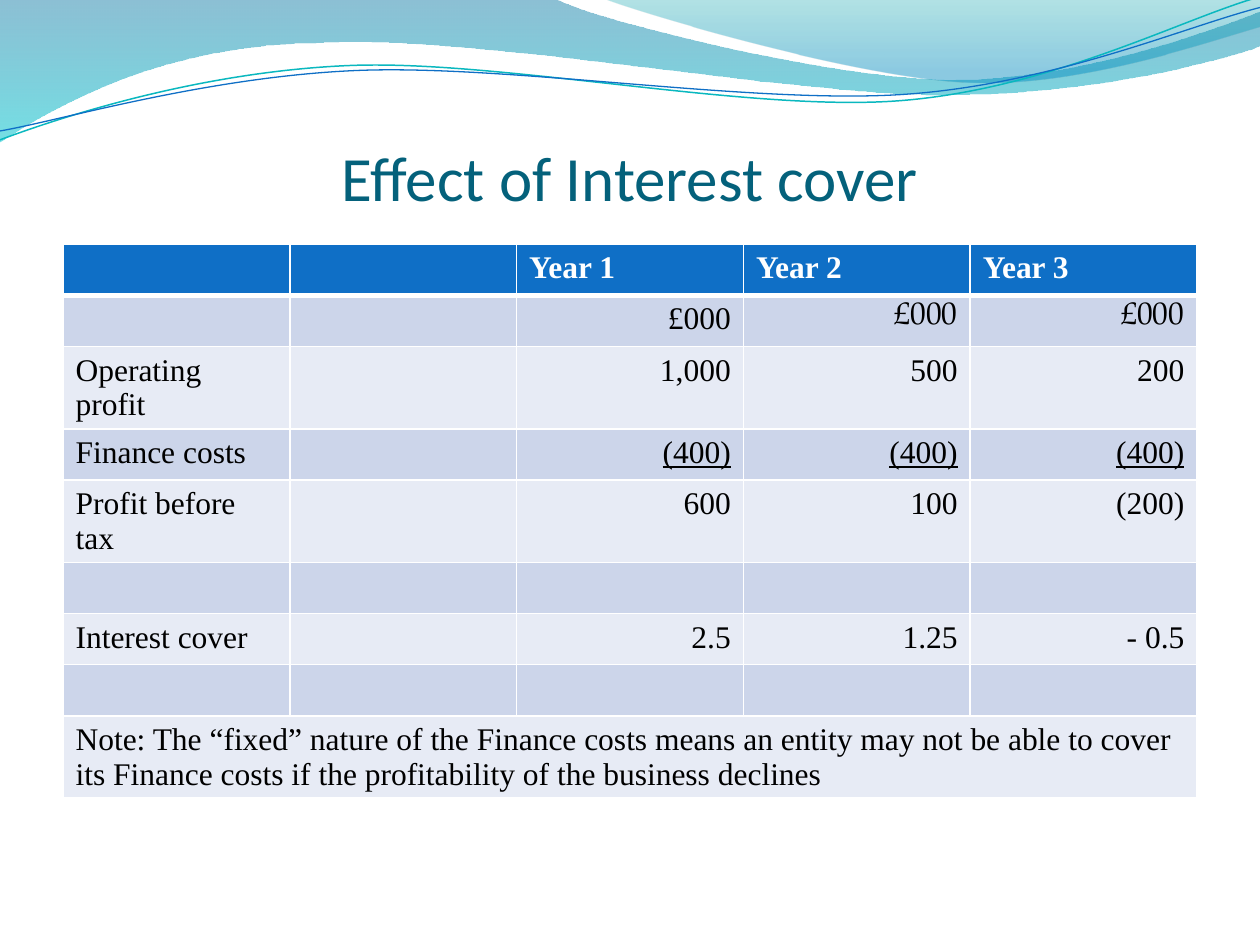
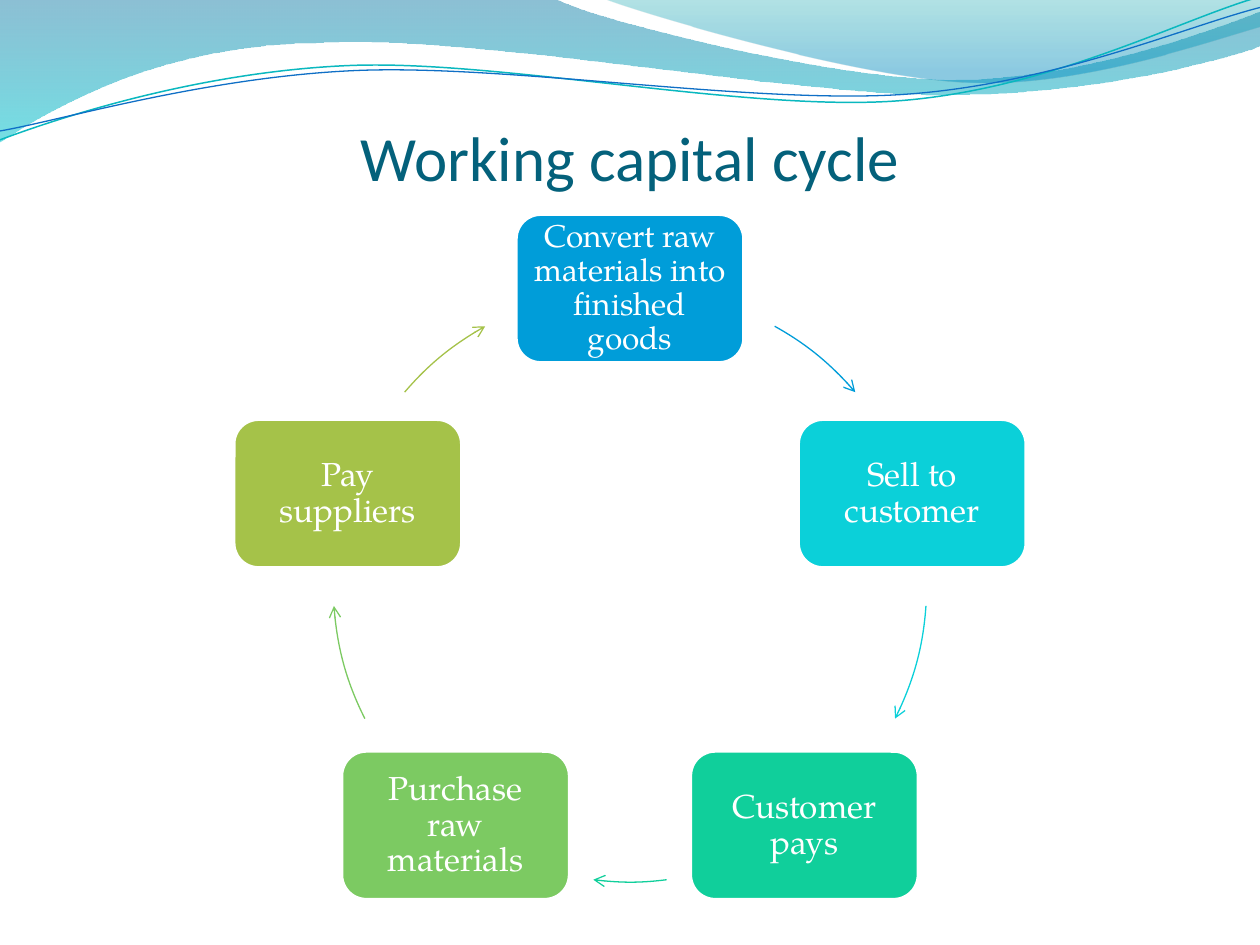
from math import cos, radians, sin, tan

from lxml import etree
from pptx import Presentation
from pptx.dml.color import RGBColor
from pptx.enum.shapes import MSO_SHAPE
from pptx.enum.text import MSO_ANCHOR, MSO_AUTO_SIZE, PP_ALIGN
from pptx.oxml.ns import qn
from pptx.util import Inches, Pt

LEFT, CENTER, RIGHT = PP_ALIGN.LEFT, PP_ALIGN.CENTER, PP_ALIGN.RIGHT
MIDDLE, BOTTOM = MSO_ANCHOR.MIDDLE, MSO_ANCHOR.BOTTOM
ROUNDED_BOX = MSO_SHAPE.ROUNDED_RECTANGLE

WHITE = RGBColor(0xFF, 0xFF, 0xFF)
BLACK = RGBColor(0x00, 0x00, 0x00)
TITLE_TEAL = RGBColor(0x04, 0x61, 0x7B)
HEADER_BLUE = RGBColor(0x0F, 0x6F, 0xC6)
BAND_DARK = RGBColor(0xCC, 0xD5, 0xEA)
BAND_LIGHT = RGBColor(0xE7, 0xEB, 0xF5)
LINE_TEAL = RGBColor(0x0A, 0xB8, 0xBF)
SKY = RGBColor(0x00, 0x9D, 0xD9)
CYAN = RGBColor(0x0B, 0xD0, 0xD9)
EMERALD = RGBColor(0x10, 0xCF, 0x9B)
GREEN = RGBColor(0x7C, 0xCA, 0x62)
OLIVE = RGBColor(0xA5, 0xC2, 0x49)

TITLE_FONT = "Calibri"
TABLE_FONT = "Times New Roman"
CYCLE_FONT = "TeX Gyre Pagella"

SLIDE_WIDTH, SLIDE_HEIGHT = 10, 7.5
MARGIN = 0.05 * SLIDE_WIDTH
CONTENT_WIDTH = SLIDE_WIDTH - 2 * MARGIN
TITLE_TOP = 0.77

# Each outline is a list of steps: one point for a straight edge,
# three points (two controls and an end) for a curve.
WAVE_BANDS = [
    {
        "start": (0, -0.01),
        "steps": [
            [(4.4, -0.01)],
            [(4.76, 0.17), (6.64, 0.63), (7.58, 0.63)],
            [(8.53, 0.63), (9.58, 0.26), (10, 0.09)],
            [(10.01, 0.36)],
            [(9.83, 0.44), (8.7, 0.76), (7.46, 0.75)],
            [(6.22, 0.75), (3.82, 0.28), (2.57, 0.34)],
            [(1.29, 0.35), (0.46, 0.83), (-0.01, 1.13)],
            [(0, -0.01)],
        ],
        "stops": [(0, RGBColor(0x00, 0x74, 0xA1), 45), (1, RGBColor(0x00, 0xC6, 0xCF), 55)],
    },
    {
        "start": (4.79, -0.01),
        "steps": [
            [(5.09, 0.11), (6.82, 0.62), (7.69, 0.65)],
            [(8.56, 0.69), (9.61, 0.32), (10, 0.21)],
            [(10, 0)],
            [(4.79, -0.01)],
        ],
        "stops": [(0, RGBColor(0x00, 0xA1, 0xA9), 30), (0.8, RGBColor(0x00, 0x8B, 0xBF), 45)],
    },
]
WAVE_LINES = [
    {
        "start": (0, 1.11),
        "steps": [
            [(0.48, 0.93), (1.58, 0.57), (2.77, 0.52)],
            [(3.95, 0.47), (5.93, 0.89), (7.13, 0.8)],
            [(8.33, 0.71), (9.38, 0.15), (9.98, -0.02)],
        ],
        "pivot": (4.99, 0.58),
        "color": LINE_TEAL,
        "width": 0.85,
    },
    {
        "start": (0, 1.04),
        "steps": [
            [(0.47, 0.96), (1.64, 0.61), (2.83, 0.56)],
            [(4.03, 0.51), (5.97, 0.83), (7.17, 0.75)],
            [(8.36, 0.67), (9.41, 0.21), (10, 0.06)],
        ],
        "pivot": (5, 0.59),
        "color": HEADER_BLUE,
        "width": 0.75,
    },
]
WAVE_TILT = 2.7

INTEREST_TITLE = "Effect of Interest cover"
INTEREST_ROWS = [
    ("", "", "Year 1", "Year 2", "Year 3"),
    ("", "", "£000", "£000", "£000"),
    ("Operating profit", "", "1,000", "500", "200"),
    ("Finance costs", "", "(400)", "(400)", "(400)"),
    ("Profit before tax", "", "600", "100", "(200)"),
    ("", "", "", "", ""),
    ("Interest cover", "", "2.5", "1.25", "- 0.5"),
    ("", "", "", "", ""),
    (
        "Note: The “fixed” nature of the Finance costs means an entity may not be able "
        "to cover its Finance costs if the profitability of the business declines",
        "", "", "", "",
    ),
]
UNIT_ROW, UNDERLINED_ROW = 1, 3
TABLE_TOP = 1.94
ROW_POINTS = 29.2

CYCLE_TITLE = "Working capital cycle"
# Text, colour, font size, text inset, and the angles from the top
# between which the arrow to the next stage runs.
CYCLE_STAGES = [
    ("Convert raw materials into finished goods", SKY, 18, 0.07, (29.2, 49.4)),
    ("Sell to customer", CYAN, 19, 0.08, (94, 116.7)),
    ("Customer pays", EMERALD, 19, 0.08, (172.9, 187.1)),
    ("Purchase raw materials", GREEN, 19, 0.08, (243.3, 266)),
    ("Pay suppliers", OLIVE, 19, 0.08, (310.6, 330.8)),
]
CYCLE_TOP, CYCLE_SIZE = 2.29, 4.71
CYCLE_RADIUS = CYCLE_SIZE / 2
CYCLE_X, CYCLE_Y = SLIDE_WIDTH / 2, CYCLE_TOP + CYCLE_RADIUS
CYCLE_CORNERS = [
    (CYCLE_X - CYCLE_RADIUS, CYCLE_TOP),
    (CYCLE_X + CYCLE_RADIUS, CYCLE_TOP + CYCLE_SIZE),
]
STAGE_WIDTH, STAGE_HEIGHT = 1.81, 1.18


def write_text(frame, text, *, font, size, color, align=LEFT, bold=False,
               underline=False, line_spacing=None):
    paragraph = frame.paragraphs[0]
    paragraph.alignment = align
    paragraph.line_spacing = line_spacing
    run = paragraph.add_run()
    run.text = text
    run.font.name = font
    run.font.size = Pt(size)
    run.font.color.rgb = color
    run.font.bold = bold
    run.font.underline = underline


def set_insets(frame, left, top, right, bottom):
    frame.margin_left, frame.margin_top = Inches(left), Inches(top)
    frame.margin_right, frame.margin_bottom = Inches(right), Inches(bottom)


def to_emu(point):
    return Inches(point[0]), Inches(point[1])


def add_outline(slide, start, steps, close=False, corners=()):
    """Add a freeform; corners stretch its frame beyond the outline itself."""
    first, *moves = [to_emu(point) for point in [*corners, start]]
    builder = slide.shapes.build_freeform(*first, scale=1.0)
    for move in moves:
        builder.move_to(*move)
    builder.add_line_segments([to_emu(point) for step in steps for point in step], close=close)
    shape = builder.convert_to_shape()
    shape.shadow.inherit = False

    outline = next(shape.element.iter(qn("a:moveTo"))).getparent()
    for corner_move in list(outline)[:len(corners)]:
        outline.remove(corner_move)
    edges = iter(outline.findall(qn("a:lnTo")))
    for step in steps:
        step_edges = [next(edges) for _ in step]
        if len(step) == 3:
            curve = etree.Element(qn("a:cubicBezTo"))
            step_edges[0].addprevious(curve)
            for edge in step_edges:
                curve.append(edge[0])
                outline.remove(edge)
    return shape


def add_curve(slide, start, steps, color, width, corners=()):
    curve = add_outline(slide, start, steps, corners=corners)
    curve.fill.background()
    curve.line.color.rgb = color
    curve.line.width = Pt(width)
    return curve


def add_wave_band(slide, start, steps, stops):
    band = add_outline(slide, start, steps, close=True)
    band.line.fill.background()
    band.fill.gradient()
    band.fill.gradient_angle = 270
    for gradient_stop, (position, color, _) in zip(band.fill.gradient_stops, stops):
        gradient_stop.position = position
        gradient_stop.color.rgb = color
    colors = band.element.spPr.iter(qn("a:srgbClr"))
    for color_element, (_, _, opacity) in zip(colors, stops):
        etree.SubElement(color_element, qn("a:alpha"), val=str(opacity * 1000))
    return band


def add_wave_line(slide, start, steps, pivot, color, width):
    """Draw the line level, then tilt the whole shape about its pivot."""
    cosine, sine = cos(radians(WAVE_TILT)), sin(radians(WAVE_TILT))

    def level(point):
        x, y = point[0] - pivot[0], point[1] - pivot[1]
        return pivot[0] + x * cosine - y * sine, pivot[1] + x * sine + y * cosine

    level_steps = [[level(point) for point in step] for step in steps]
    line = add_curve(slide, level(start), level_steps, color, width)
    line.rotation = 360 - WAVE_TILT
    return line


def add_waves_to_layout(slide):
    """Draw the waves on a slide, then move them behind everything on its layout."""
    waves = [add_wave_band(slide, **band) for band in WAVE_BANDS]
    waves += [add_wave_line(slide, **line) for line in WAVE_LINES]
    layout_tree = slide.slide_layout.shapes.element
    for index, wave in enumerate(waves):
        wave.element.nvSpPr.cNvPr.set("id", str(100 + index))
        layout_tree.insert(2 + index, wave.element)


def add_titled_slide(presentation, layout, text, title_height):
    slide = presentation.slides.add_slide(layout)
    title = slide.shapes.title
    title.left, title.top = Inches(MARGIN), Inches(TITLE_TOP)
    title.width, title.height = Inches(CONTENT_WIDTH), Inches(title_height)
    frame = title.text_frame
    frame.auto_size = MSO_AUTO_SIZE.NONE
    frame.vertical_anchor = BOTTOM
    set_insets(frame, 0, 0.05, 0, 0)
    write_text(frame, text, font=TITLE_FONT, size=36, color=TITLE_TEAL, align=CENTER)
    return slide


def set_borders(cell, bottom_width):
    properties = cell._tc.get_or_add_tcPr()
    for side, width in (("L", 1), ("R", 1), ("T", 1), ("B", bottom_width)):
        line = etree.SubElement(properties, qn(f"a:ln{side}"), w=str(Pt(width)))
        fill = etree.SubElement(line, qn("a:solidFill"))
        etree.SubElement(fill, qn("a:srgbClr"), val=str(WHITE))


def add_interest_table(slide):
    row_count, column_count = len(INTEREST_ROWS), len(INTEREST_ROWS[0])
    table = slide.shapes.add_table(
        row_count, column_count, Inches(MARGIN), Inches(TABLE_TOP),
        Inches(CONTENT_WIDTH), Pt(ROW_POINTS * row_count),
    ).table
    for row, values in enumerate(INTEREST_ROWS):
        is_header = row == 0
        band = HEADER_BLUE if is_header else BAND_DARK if row % 2 else BAND_LIGHT
        for column, value in enumerate(values):
            cell = table.cell(row, column)
            set_borders(cell, 3 if is_header else 1)
            cell.fill.solid()
            cell.fill.fore_color.rgb = band
            if value:
                write_text(
                    cell.text_frame, value, size=18,
                    font=CYCLE_FONT if row == UNIT_ROW and column > 2 else TABLE_FONT,
                    color=WHITE if is_header else BLACK, bold=is_header,
                    underline=row == UNDERLINED_ROW and column > 0,
                    align=RIGHT if column and not is_header else LEFT,
                )
    table.cell(row_count - 1, 0).merge(table.cell(row_count - 1, column_count - 1))


def cycle_point(angle, along=0):
    """Return the point at an angle clockwise from the top, moved along the tangent."""
    sine, cosine = sin(radians(angle)), cos(radians(angle))
    return (CYCLE_X + CYCLE_RADIUS * (sine + along * cosine),
            CYCLE_Y - CYCLE_RADIUS * (cosine - along * sine))


def add_cycle(slide):
    for index, (text, color, size, inset, (start, end)) in enumerate(CYCLE_STAGES):
        x, y = cycle_point(index * 360 / len(CYCLE_STAGES))
        box = slide.shapes.add_shape(
            ROUNDED_BOX, Inches(x - STAGE_WIDTH / 2), Inches(y - STAGE_HEIGHT / 2),
            Inches(STAGE_WIDTH), Inches(STAGE_HEIGHT),
        )
        box.shadow.inherit = False
        box.fill.solid()
        box.fill.fore_color.rgb = color
        box.line.color.rgb = WHITE
        box.line.width = Pt(2)
        frame = box.text_frame
        frame.word_wrap = True
        frame.vertical_anchor = MIDDLE
        set_insets(frame, inset, inset, inset, inset)
        write_text(frame, text, font=CYCLE_FONT, size=size, color=WHITE,
                   align=CENTER, line_spacing=0.9)

        reach = 4 / 3 * tan(radians(end - start) / 4)
        arc = [cycle_point(start, reach), cycle_point(end, -reach), cycle_point(end)]
        arrow = add_curve(slide, cycle_point(start), [arc], color, 0.75, CYCLE_CORNERS)
        etree.SubElement(arrow.line._get_or_add_ln(), qn("a:tailEnd"), type="arrow")


def main():
    presentation = Presentation()
    presentation.slide_width = Inches(SLIDE_WIDTH)
    presentation.slide_height = Inches(SLIDE_HEIGHT)
    layout = presentation.slide_layouts.get_by_name("Title Only")

    interest_slide = add_titled_slide(presentation, layout, INTEREST_TITLE, 0.93)
    add_waves_to_layout(interest_slide)
    add_interest_table(interest_slide)

    cycle_slide = add_titled_slide(presentation, layout, CYCLE_TITLE, 0.77)
    add_cycle(cycle_slide)
    presentation.save("out.pptx")


if __name__ == "__main__":
    main()
